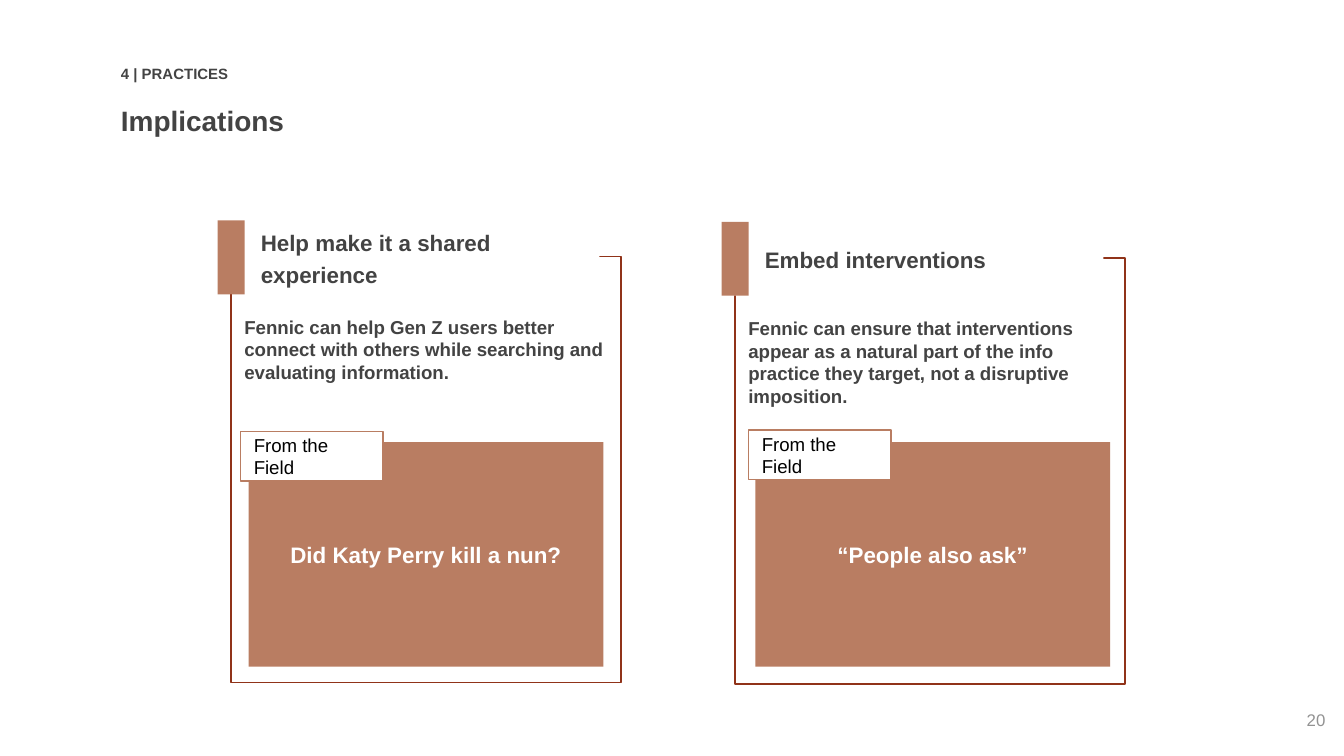
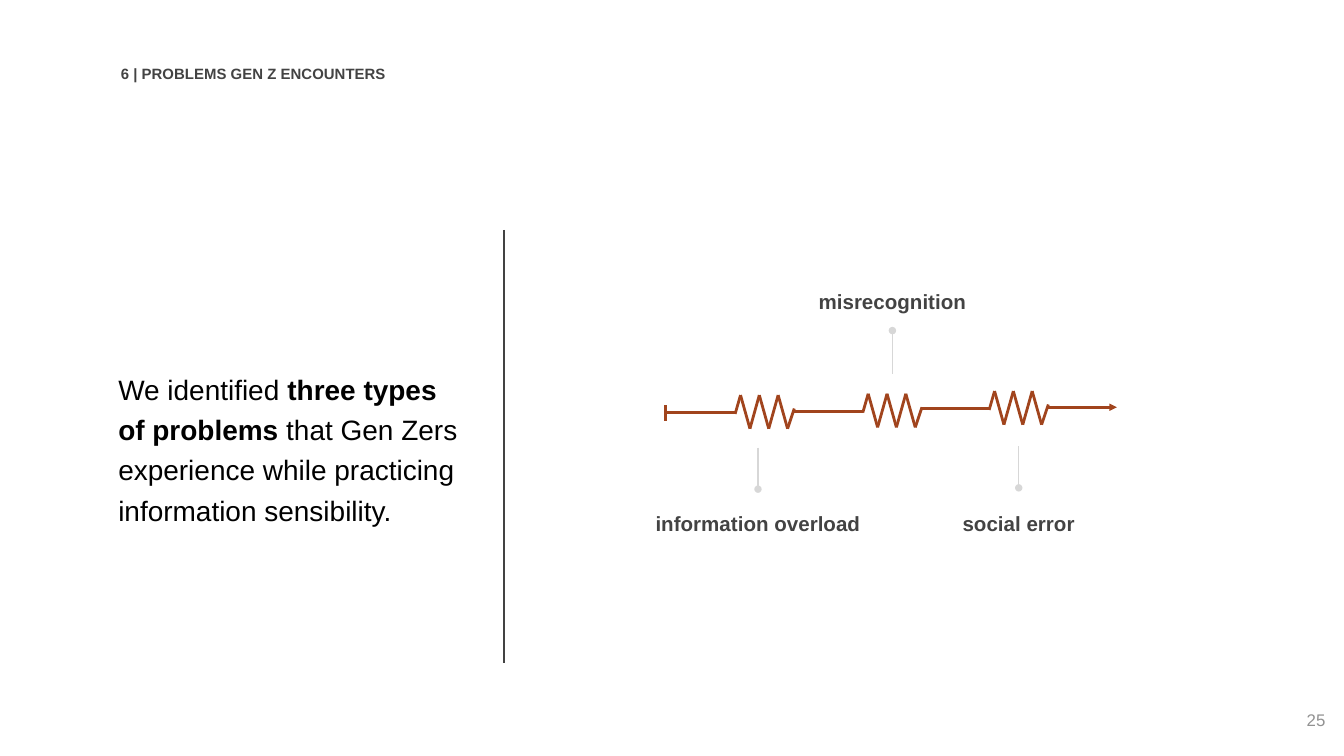
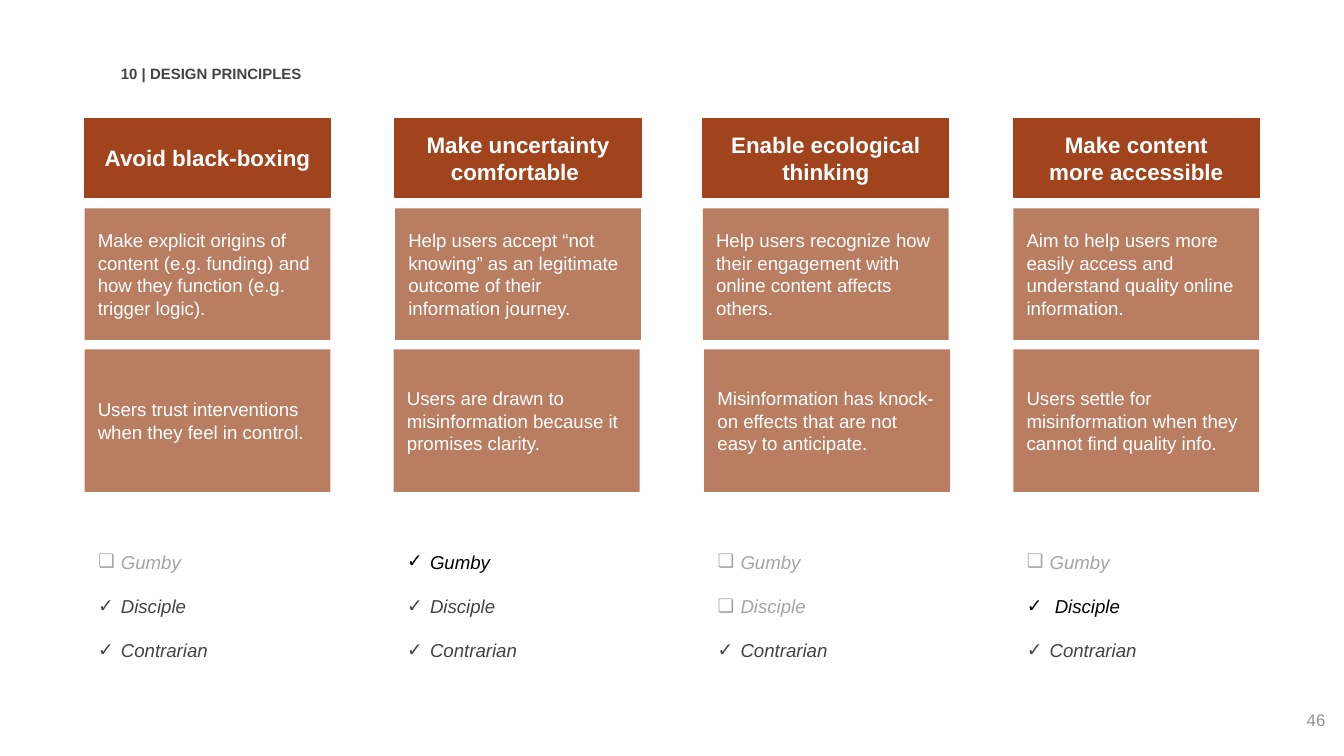
from dataclasses import dataclass
from itertools import pairwise

from lxml import etree
from pptx import Presentation
from pptx.dml.color import RGBColor
from pptx.enum.shapes import MSO_CONNECTOR, MSO_SHAPE
from pptx.enum.text import MSO_ANCHOR, PP_ALIGN
from pptx.oxml.ns import qn
from pptx.util import Inches, Pt

RECT, STRAIGHT = MSO_SHAPE.RECTANGLE, MSO_CONNECTOR.STRAIGHT
LEFT, CENTER, RIGHT = PP_ALIGN.LEFT, PP_ALIGN.CENTER, PP_ALIGN.RIGHT
TOP, MIDDLE = MSO_ANCHOR.TOP, MSO_ANCHOR.MIDDLE

FONT = "Arial"
COLORS = {
    "white": "FFFFFF",
    "black": "000000",
    "text": "434343",
    "muted": "A5A5A5",
    "page": "929292",
    "rust": "A1441D",
    "tint": "8F2E03",
    "frame": "903319",
    "tag": "B97D62",
    "pin": "D7D7D7",
}
TINT_ALPHA = 62
WIDE = (0.1, 0.1, 0.1, 0.1)
SLIM = (0.07, 0.04, 0.07, 0.04)


@dataclass(frozen=True)
class Run:
    text: str
    bold: bool = False
    color: str = ""


@dataclass(frozen=True)
class Para:
    runs: tuple[Run, ...]
    bullet: str = ""


@dataclass(frozen=True)
class Card:
    left: float
    top: float
    heading: str
    body: str
    field_left: float
    tag_left: float
    tag_top: float
    example: str


@dataclass(frozen=True)
class Problem:
    label: str
    label_left: float
    label_top: float
    pin_x: float
    pin_from: float
    pin_to: float
    zigzag_left: float
    zigzag_top: float


@dataclass(frozen=True)
class Principle:
    left: float
    reason_left: float
    heading: tuple[str, ...]
    detail: str
    reason: str
    personas: tuple[Para, ...]


def rgb(name: str) -> RGBColor:
    return RGBColor.from_string(COLORS[name])


def set_bullet(p, mark: str, color: str) -> None:
    pPr = p._p.get_or_add_pPr()
    pPr.set("marL", str(Inches(0.2)))
    pPr.set("indent", str(Inches(-0.17)))
    clr = etree.SubElement(pPr, qn("a:buClr"))
    etree.SubElement(clr, qn("a:srgbClr"), val=COLORS[color])
    etree.SubElement(pPr, qn("a:buFont"), typeface=FONT)
    etree.SubElement(pPr, qn("a:buChar"), char=mark)


def put_text(shape, *paras: str | Para, size: float, color: str = "text",
             bold: bool = False, italic: bool = False, align=LEFT, anchor=MIDDLE,
             inset=WIDE, spacing: float = 1.0, gap: float = 0) -> None:
    """Fill a shape with paragraphs; gap is the space before all but the first."""
    tf = shape.text_frame
    tf.word_wrap = True
    tf.vertical_anchor = anchor
    (tf.margin_left, tf.margin_top,
     tf.margin_right, tf.margin_bottom) = map(Inches, inset)
    for i, para in enumerate(paras):
        if isinstance(para, str):
            para = Para((Run(para),))
        p = tf.add_paragraph() if i else tf.paragraphs[0]
        p.alignment = align
        p.line_spacing = spacing
        if i and gap:
            p.space_before = Pt(gap)
        if para.bullet:
            set_bullet(p, para.bullet, para.runs[0].color or color)
        for run in para.runs:
            r = p.add_run()
            r.text = run.text
            r.font.name = FONT
            r.font.size = Pt(size)
            r.font.bold = bold or run.bold
            r.font.italic = italic
            r.font.color.rgb = rgb(run.color or color)


def add_box(s, left: float, top: float, width: float, height: float,
            fill: str = "", line: str = ""):
    sp = s.shapes.add_shape(RECT, *map(Inches, (left, top, width, height)))
    sp.shadow.inherit = False
    if fill:
        sp.fill.solid()
        sp.fill.fore_color.rgb = rgb(fill)
    else:
        sp.fill.background()
    if fill == "tint":
        clr = sp.element.spPr.find(".//" + qn("a:srgbClr"))
        etree.SubElement(clr, qn("a:alpha"), val=str(TINT_ALPHA * 1000))
    if line:
        sp.line.color.rgb = rgb(line)
        sp.line.width = Pt(0.75)
    else:
        sp.line.fill.background()
    return sp


def add_label(s, left: float, top: float, width: float, height: float,
              *paras: str | Para, **fmt) -> None:
    tb = s.shapes.add_textbox(*map(Inches, (left, top, width, height)))
    put_text(tb, *paras, **{"inset": SLIM, **fmt})


def add_line(shapes, start: tuple[float, float], end: tuple[float, float],
             color: str, width: float, tail: str = "") -> None:
    ln = shapes.add_connector(STRAIGHT, *map(Inches, (*start, *end)))
    ln.line.color.rgb = rgb(color)
    ln.line.width = Pt(width)
    spPr = ln.element.spPr
    if tail:
        etree.SubElement(spPr.find(qn("a:ln")), qn("a:tailEnd"),
                         type=tail, w="sm", len="sm")
    etree.SubElement(spPr, qn("a:effectLst"))


def new_slide(prs, section: str, page: int):
    s = prs.slides.add_slide(prs.slide_layouts[6])
    add_label(s, 0.83, 0.44, 3.94, 0.2, section, size=8, bold=True, spacing=1.12)
    add_label(s, 9.36, 5.19, 0.6, 0.43, str(page), size=9, color="page",
              align=RIGHT, anchor=TOP, inset=(0.1, 0.13, 0.1, 0.1))
    return s


CARDS = (
    Card(1.72, 1.91, "Help make it a shared experience",
         "Fennic can help Gen Z users better connect with others while "
         "searching and evaluating information.",
         1.85, 1.79, 3.21, "Did Katy Perry kill a nun?"),
    Card(5.47, 1.92, "Embed interventions",
         "Fennic can ensure that interventions appear as a natural part of the "
         "info practice they target, not a disruptive imposition.",
         5.62, 5.57, 3.2, "“People also ask”"),
)


def draw_card(s, card: Card) -> None:
    frame = add_box(s, card.left, card.top, 2.9, 3.17, line="frame")
    put_text(frame, card.body, size=10, bold=True, anchor=TOP,
             inset=(0.1, 0.44, 0.1, 0.1))
    heading = add_box(s, card.left - 0.05, card.top - 0.26, 2.79, 0.54, fill="white")
    put_text(heading, card.heading, size=12, bold=True, spacing=1.2,
             inset=(0.27, 0.04, 0.07, 0.07))
    add_box(s, card.left - 0.1, card.top - 0.27, 0.2, 0.55, fill="tint")
    field = add_box(s, card.field_left, 3.29, 2.64, 1.67, fill="tint")
    put_text(field, card.example, size=12, color="white", bold=True, align=CENTER)
    tag = add_box(s, card.tag_left, card.tag_top, 1.06, 0.37, fill="white", line="tag")
    put_text(tag, "From the Field", size=10, color="black")


def build_implications(prs) -> None:
    s = new_slide(prs, "4 | PRACTICES", 20)
    add_label(s, 0.83, 0.7, 6.14, 0.43, "Implications", size=15, bold=True,
              anchor=TOP, spacing=1.12)
    for card in CARDS:
        draw_card(s, card)


PROBLEMS = (
    Problem("information overload", 4.64, 3.74, 5.64, 3.33, 3.64, 5.47, 2.94),
    Problem("misrecognition", 5.64, 2.09, 6.64, 2.78, 2.46, 6.42, 2.93),
    Problem("social error", 6.58, 3.74, 7.58, 3.32, 3.63, 7.36, 2.91),
)
ZIGZAG = ((0, 0.14), (0.04, 0), (0.11, 0.25), (0.18, 0), (0.25, 0.25),
          (0.32, 0), (0.39, 0.25), (0.44, 0.1))
PATH_STRETCHES = ((4.95, 5.47, 3.07), (5.91, 6.42, 3.06),
                  (6.86, 7.37, 3.04), (7.79, 8.31, 3.03))


def draw_problem(s, problem: Problem) -> None:
    zigzag = s.shapes.add_group_shape()
    points = [(problem.zigzag_left + dx, problem.zigzag_top + dy) for dx, dy in ZIGZAG]
    for start, end in pairwise(points):
        add_line(zigzag.shapes, start, end, "rust", 1.5)
    add_line(s.shapes, (problem.pin_x, problem.pin_from),
             (problem.pin_x, problem.pin_to), "pin", 0.75, tail="oval")
    add_label(s, problem.label_left, problem.label_top, 2, 0.28, problem.label,
              size=11, bold=True, align=CENTER, spacing=1.12)


def build_problems(prs) -> None:
    s = new_slide(prs, "6 | PROBLEMS GEN Z ENCOUNTERS", 25)
    add_line(s.shapes, (3.75, 1.71), (3.75, 4.93), "text", 0.75)
    statement = Para((
        Run("We identified "),
        Run("three types of problems", bold=True),
        Run(" that Gen Zers experience while practicing information sensibility."),
    ))
    add_label(s, 0.81, 1.71, 2.68, 3.22, statement, size=15, color="black", spacing=1.2)
    add_line(s.shapes, (4.95, 3.13), (4.95, 3.01), "rust", 1.5)
    for i, (x1, x2, y) in enumerate(PATH_STRETCHES, start=1):
        tail = "triangle" if i == len(PATH_STRETCHES) else ""
        add_line(s.shapes, (x1, y), (x2, y), "rust", 1.5, tail=tail)
    for problem in PROBLEMS:
        draw_problem(s, problem)


def served(name: str, color: str = "text") -> Para:
    return Para((Run(name, color=color),), bullet="✓")


def unserved(name: str) -> Para:
    return Para((Run(name, color="muted"),), bullet="❏")


PRINCIPLES = (
    Principle(0.63, 0.63, ("Avoid black-boxing",),
              "Make explicit origins of content (e.g. funding) and how they "
              "function (e.g. trigger logic).",
              "Users trust interventions when they feel in control.",
              (unserved("Gumby"), served("Disciple"), served("Contrarian"))),
    Principle(2.94, 2.93, ("Make uncertainty comfortable ",),
              "Help users accept “not knowing” as an legitimate outcome of their "
              "information journey.",
              "Users are drawn to misinformation because it promises clarity.",
              (served("Gumby", "black"), served("Disciple"), served("Contrarian"))),
    Principle(5.23, 5.24, ("Enable ecological thinking",),
              "Help users recognize how their engagement with online content "
              "affects others.",
              "Misinformation has knock- on effects that are not easy to anticipate.",
              (unserved("Gumby"), unserved("Disciple"), served("Contrarian"))),
    Principle(7.54, 7.54, ("Make content", "more accessible"),
              "Aim to help users more easily access and understand quality online "
              "information.",
              "Users settle for misinformation when they cannot find quality info.",
              (unserved("Gumby"), served(" Disciple", "black"), served("Contrarian"))),
)
COLUMN_WIDTH = 1.83


def draw_principle(s, principle: Principle) -> None:
    heading = add_box(s, principle.left, 0.88, COLUMN_WIDTH, 0.59,
                      fill="rust", line="rust")
    put_text(heading, *principle.heading, size=12, color="white", bold=True,
             align=CENTER)
    for text, left, top, height in (
            (principle.detail, principle.left, 1.55, 0.98),
            (principle.reason, principle.reason_left, 2.6, 1.06)):
        box = add_box(s, left, top, COLUMN_WIDTH, height, fill="tint")
        put_text(box, text, size=10, color="white")
    add_label(s, principle.reason_left, 4.03, COLUMN_WIDTH, 0.72, *principle.personas,
              size=10, italic=True, anchor=TOP, spacing=1.15, gap=10)


def build_principles(prs) -> None:
    s = new_slide(prs, "10 | DESIGN PRINCIPLES", 46)
    for principle in PRINCIPLES:
        draw_principle(s, principle)


def main() -> None:
    prs = Presentation()
    prs.slide_width, prs.slide_height = Inches(10), Inches(10 * 9 / 16)
    build_implications(prs)
    build_problems(prs)
    build_principles(prs)
    prs.save("out.pptx")


if __name__ == "__main__":
    main()
